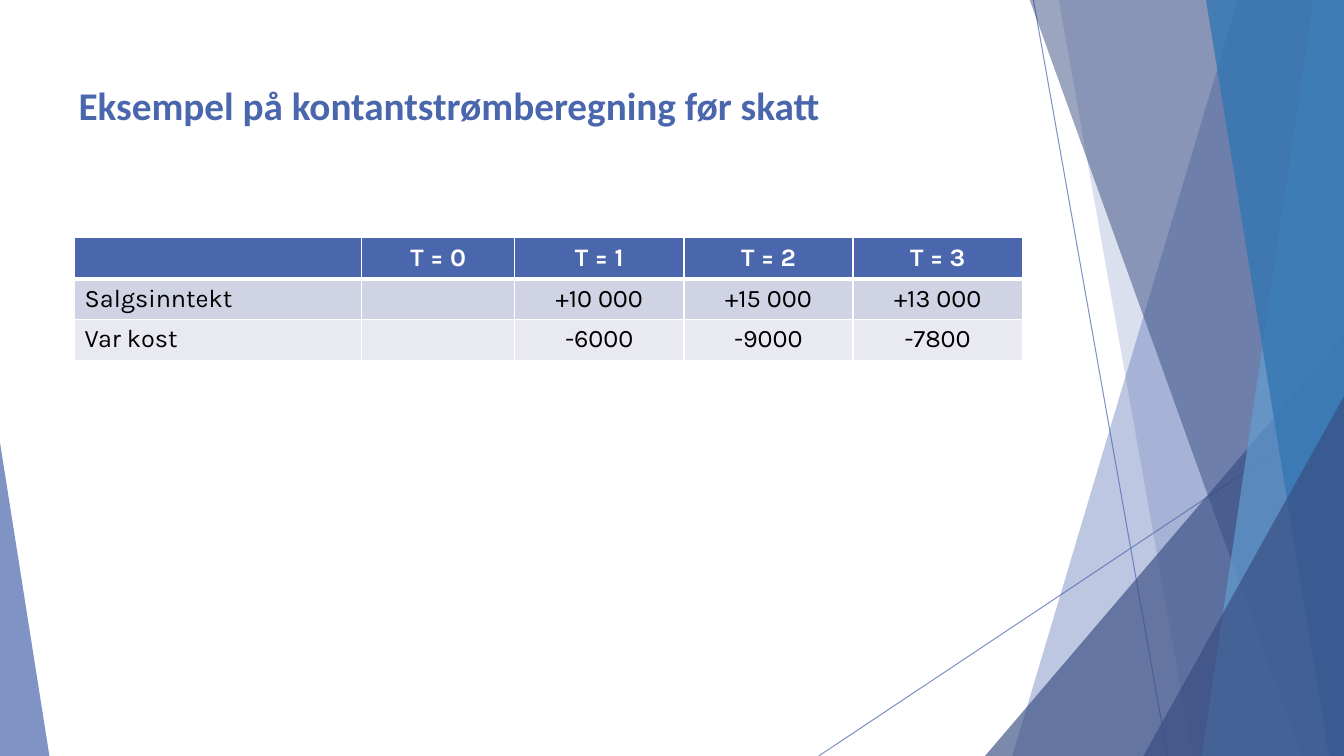
from dataclasses import dataclass

from lxml import etree
from pptx import Presentation
from pptx.dml.color import RGBColor
from pptx.enum import shapes, text
from pptx.oxml import ns
from pptx.util import Inches, Pt


@dataclass(frozen=True)
class Theme:
    blue: str = "4A66AC"
    navy: str = "384C81"
    sky: str = "629DD1"
    ocean: str = "3477B2"
    white: str = "FFFFFF"
    black: str = "000000"
    bands: tuple = ("D0D3E3", "E9EAF1")
    title_font: str = "Calibri"
    body_font: str = "Karla"
    title_size: int = 28
    body_size: int = 18


THEME = Theme()
WIDTH, HEIGHT = 13.33, 7.5

CASH_FLOWS = [
    ["", "T = 0", "T = 1", "T = 2", "T = 3"],
    ["Salgsinntekt", "", "+10 000", "+15 000", "+13 000"],
    ["Var kost", "", "-6000", "-9000", "-7800"],
]
COLUMN_WIDTHS = [2.85, 1.52, 1.68, 1.68, 1.68]


def set_opacity(fill_parent, percent):
    color = next(fill_parent.iter(ns.qn("a:srgbClr")))
    etree.SubElement(color, ns.qn("a:alpha"), val=str(percent * 1000))


def paint(facet, color, percent):
    facet.shadow.inherit = False
    facet.fill.solid()
    facet.fill.fore_color.rgb = RGBColor.from_string(color)
    set_opacity(facet.fill._xPr, percent)
    facet.line.fill.background()


def style_run(run, font, size, color, bold):
    run.font.name = font
    run.font.size = Pt(size)
    run.font.bold = bold
    run.font.color.rgb = RGBColor.from_string(color)


def add_ray(slide, start, end):
    ray = slide.shapes.add_connector(
        shapes.MSO_CONNECTOR.STRAIGHT, *map(Inches, start + end))
    ray.line.color.rgb = RGBColor.from_string(THEME.blue)
    ray.line.width = Pt(0.75)
    properties = ray._element.spPr
    set_opacity(properties, 70)
    etree.SubElement(properties, ns.qn("a:effectLst"))


def add_blade(slide, top_x, bottom_x, color, percent):
    """Band from a slanted left edge to the right edge of the slide."""
    corners = [(top_x, -0.01), (WIDTH, -0.01), (WIDTH, HEIGHT), (bottom_x, HEIGHT)]
    points = [(Inches(x), Inches(y)) for x, y in corners]
    builder = slide.shapes.build_freeform(*points[0])
    builder.add_line_segments(points[1:], close=True)
    paint(builder.convert_to_shape(), color, percent)


def add_corner(slide, left, width, height, apex, color, percent):
    """Right-angled triangle standing on the bottom of the slide."""
    corner = slide.shapes.add_shape(
        shapes.MSO_SHAPE.ISOSCELES_TRIANGLE,
        Inches(left), Inches(HEIGHT - height), Inches(width), Inches(height))
    corner.adjustments[0] = apex
    paint(corner, color, percent)


def add_facets(slide):
    # Thin rays
    add_ray(slide, (10.25, 0), (11.58, HEIGHT))
    add_ray(slide, (WIDTH, 4.03), (8.12, HEIGHT))
    # Overlapping facets on the right, back to front
    add_blade(slide, 12.28, 10.04, THEME.blue, 36)
    add_blade(slide, 10.5, 11.83, THEME.blue, 20)
    add_corner(slide, 9.77, 3.56, 4.17, 1, THEME.navy, 66)
    add_blade(slide, 10.21, 12.91, THEME.navy, 50)
    add_blade(slide, 13.03, 11.92, THEME.sky, 70)
    add_blade(slide, 11.96, 13.18, THEME.ocean, 80)
    add_corner(slide, 11.34, 1.99, 3.57, 1, THEME.navy, 66)
    # Wedge at the lower left
    add_corner(slide, 0, 0.49, 3.11, 0, THEME.blue, 70)


def add_title(slide, left, top, width, height):
    title = slide.shapes.title
    title.left, title.top = Inches(left), Inches(top)
    title.width, title.height = Inches(width), Inches(height)
    frame = title.text_frame
    frame.text = "Eksempel på kontantstrømberegning før skatt"
    frame.word_wrap = True
    frame.auto_size = text.MSO_AUTO_SIZE.NONE
    frame.vertical_anchor = text.MSO_ANCHOR.TOP
    heading = frame.paragraphs[0]
    heading.alignment = text.PP_ALIGN.LEFT
    style_run(heading.runs[0], THEME.title_font, THEME.title_size, THEME.blue, True)


def add_borders(cell, is_header, below_header):
    """White rules, with a heavier one under the header row."""
    widths = {"lnL": 1, "lnR": 1, "lnT": 3 if below_header else 1,
              "lnB": 3 if is_header else 1}
    properties = cell._tc.get_or_add_tcPr()
    for position, (side, points) in enumerate(widths.items()):
        border = etree.Element(ns.qn(f"a:{side}"), w=str(Pt(points)))
        fill = etree.SubElement(border, ns.qn("a:solidFill"))
        etree.SubElement(fill, ns.qn("a:srgbClr"), val=THEME.white)
        properties.insert(position, border)


def add_cash_flow_table(slide, left, top, width, height):
    row_count = len(CASH_FLOWS)
    table = slide.shapes.add_table(
        row_count, len(COLUMN_WIDTHS),
        Inches(left), Inches(top), Inches(width), Inches(height)).table
    for column, share in zip(table.columns, COLUMN_WIDTHS):
        column.width = Inches(width * share / sum(COLUMN_WIDTHS))
    for r, values in enumerate(CASH_FLOWS):
        table.rows[r].height = Inches(height / row_count)
        is_header = r == 0
        fill = THEME.blue if is_header else THEME.bands[(r - 1) % 2]
        color = THEME.white if is_header else THEME.black
        for c, value in enumerate(values):
            cell = table.cell(r, c)
            cell.fill.solid()
            cell.fill.fore_color.rgb = RGBColor.from_string(fill)
            add_borders(cell, is_header, r == 1)
            entry = cell.text_frame.paragraphs[0]
            entry.text = value
            entry.alignment = text.PP_ALIGN.CENTER if c else text.PP_ALIGN.LEFT
            for run in entry.runs:
                style_run(run, THEME.body_font, THEME.body_size, color, is_header)


def main():
    deck = Presentation()
    deck.slide_width, deck.slide_height = Inches(WIDTH), Inches(HEIGHT)
    slide = deck.slides.add_slide(deck.slide_layouts[5])
    add_facets(slide)
    add_cash_flow_table(slide, 0.74, 2.36, 9.4, 1.22)
    add_title(slide, 0.68, 0.76, 9.4, 1.44)
    deck.save("out.pptx")


if __name__ == "__main__":
    main()
